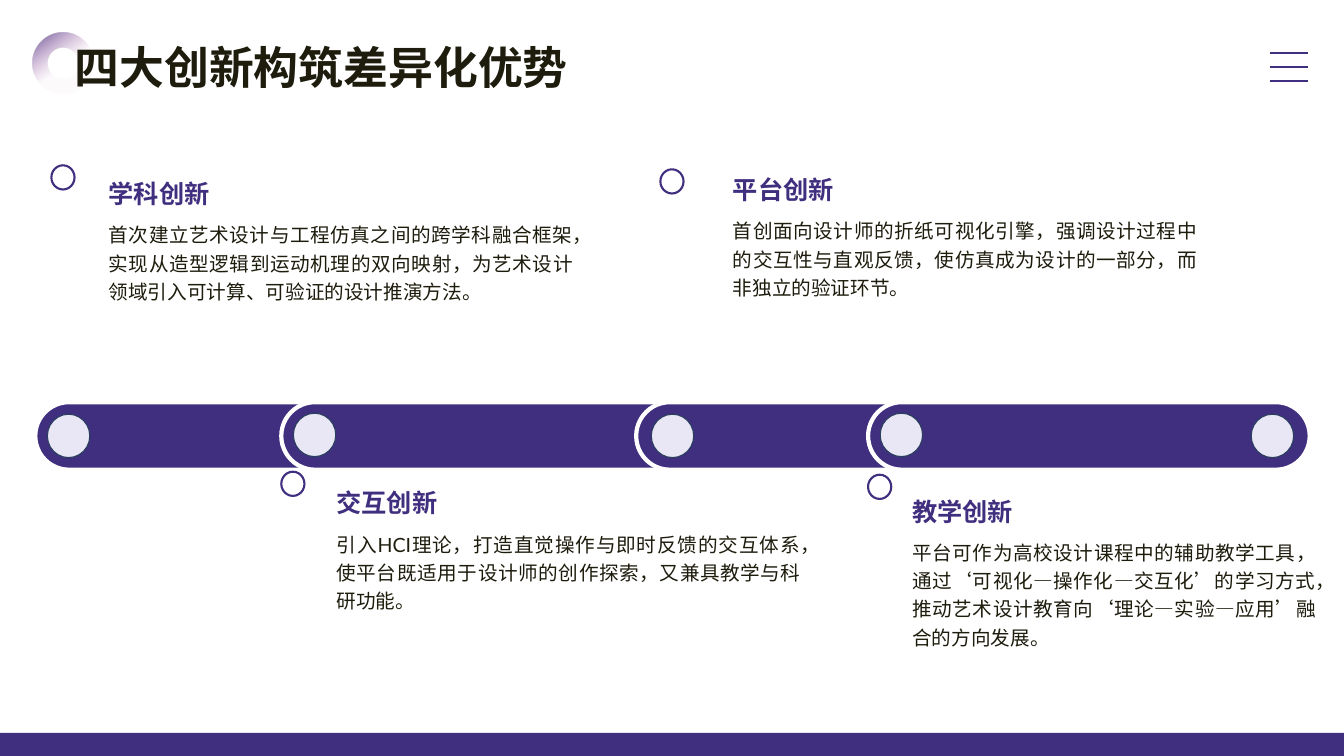
from dataclasses import dataclass

import pptx
import pptx.dml.color
import pptx.enum.dml
import pptx.enum.lang
import pptx.enum.shapes
import pptx.enum.text
import pptx.oxml
import pptx.oxml.ns
import pptx.util

Inches = pptx.util.Inches
Pt = pptx.util.Pt
Kind = pptx.enum.shapes.MSO_SHAPE
Align = pptx.enum.text.PP_ALIGN
Anchor = pptx.enum.text.MSO_ANCHOR

FONT = "Lato"
PURPLE = "402E7F"
DARK = "1E1C0D"
WHITE = "FFFFFF"
PALE = "E9E7F6"
NAVY = "273F5B"


@dataclass
class Topic:
    head: str
    body: str
    left: float
    top: float
    ring: tuple[float, float]
    width: float = 4.8


TOPICS = [
    Topic("学科创新",
          "首次建立艺术设计与工程仿真之间的跨学科融合框架，实现从造型逻辑到运动机理的双向映射，"
          "为艺术设计领域引入可计算、可验证的设计推演方法。",
          0.98, 1.72, (0.51, 1.64)),
    Topic("平台创新",
          "首创面向设计师的折纸可视化引擎，强调设计过程中的交互性与直观反馈，"
          "使仿真成为设计的一部分，而非独立的验证环节。",
          7.17, 1.68, (6.55, 1.68)),
    Topic("交互创新",
          "引入HCI理论，打造直觉操作与即时反馈的交互体系，"
          "使平台既适用于设计师的创作探索，又兼具教学与科研功能。",
          3.24, 4.79, (2.79, 4.68)),
    Topic("教学创新",
          "平台可作为高校设计课程中的辅助教学工具，通过‘可视化—操作化—交互化’的学习方式，"
          "推动艺术设计教育向‘理论—实验—应用’融合的方向发展。",
          8.95, 4.87, (8.61, 4.71), 4.2),
]
BARS = [(0.35, 3.79), (2.79, 4.24), (6.31, 3.79), (8.61, 4.38)]
DOTS = [(0.47, 4.11), (2.91, 4.1), (6.46, 4.11), (8.73, 4.1), (12.41, 4.11)]


def color(code: str) -> pptx.dml.color.RGBColor:
    return pptx.dml.color.RGBColor.from_string(code)


def shape(slide, kind, left: float, top: float, width: float, height: float,
          fill: str = "", line: str = "", weight: float = 1.5):
    item = slide.shapes.add_shape(
        kind, Inches(left), Inches(top), Inches(width), Inches(height))
    item.shadow.inherit = False
    if fill:
        item.fill.solid()
        item.fill.fore_color.rgb = color(fill)
    else:
        item.fill.background()
    if line:
        item.line.color.rgb = color(line)
        item.line.width = Pt(weight)
    else:
        item.line.fill.background()
    return item


def write(frame, text: str, size: float, ink: str = DARK, bold: bool = False,
          align=Align.JUSTIFY, space: float = 1.0, anchor=Anchor.TOP) -> None:
    frame.word_wrap = True
    frame.auto_size = pptx.enum.text.MSO_AUTO_SIZE.NONE
    frame.vertical_anchor = anchor
    para = frame.paragraphs[0]
    para.alignment = align
    para.line_spacing = space
    run = para.add_run()
    run.text = text
    font = run.font
    font.name = FONT
    font.size = Pt(size)
    font.bold = bold
    font.color.rgb = color(ink)
    font.language_id = pptx.enum.lang.MSO_LANGUAGE_ID.SIMPLIFIED_CHINESE


def box(slide, left: float, top: float, width: float, height: float):
    return slide.shapes.add_textbox(
        Inches(left), Inches(top), Inches(width), Inches(height)).text_frame


def rule(slide, left: float, top: float, width: float) -> None:
    line = slide.shapes.add_connector(
        pptx.enum.shapes.MSO_CONNECTOR.STRAIGHT,
        Inches(left), Inches(top), Inches(left + width), Inches(top))
    line.line.color.rgb = color(PURPLE)
    line.line.width = Pt(1.5)
    props = line._element.spPr
    props.append(props.makeelement(pptx.oxml.ns.qn("a:effectLst"), {}))


def donut(slide) -> None:
    item = shape(slide, Kind.DONUT, 0.32, 0.32, 0.61, 0.61)
    item.rotation = 99
    faint = '<a:srgbClr val="BC7DB7"><a:alpha val="3000"/></a:srgbClr>'
    grad = pptx.oxml.parse_xml(
        f'<a:gradFill {pptx.oxml.ns.nsdecls("a")} rotWithShape="1"><a:gsLst>'
        f'<a:gs pos="0"><a:srgbClr val="{PURPLE}"/></a:gs>'
        f'<a:gs pos="54000">{faint}</a:gs><a:gs pos="100000">{faint}</a:gs>'
        '</a:gsLst><a:lin ang="18900000" scaled="0"/></a:gradFill>')
    props = item._element.spPr
    props.replace(props.find(pptx.oxml.ns.qn("a:noFill")), grad)


def title(slide, text: str) -> None:
    item = slide.shapes.title
    item.left, item.top = Inches(0.64), Inches(0.34)
    item.width, item.height = Inches(9.5), Inches(0.64)
    write(item.text_frame, text, 32, bold=True, align=Align.LEFT,
          anchor=Anchor.MIDDLE)
    tree = slide.shapes._spTree
    tree.remove(item._element)
    tree.append(item._element)


def main() -> None:
    deck = pptx.Presentation()
    deck.slide_width, deck.slide_height = Inches(13.33), Inches(7.5)
    slide = deck.slides.add_slide(deck.slide_layouts[5])

    donut(slide)
    for step in range(3):
        rule(slide, 12.6, 0.53 + 0.135 * step, 0.37)
    for left, width in BARS:
        bar = shape(slide, Kind.ROUNDED_RECTANGLE, left, 3.99, width, 0.67,
                    PURPLE, WHITE, 3)
        bar.adjustments[0] = 0.5
    for left, top in DOTS:
        shape(slide, Kind.OVAL, left, top, 0.42, 0.43, PALE, NAVY, 0.75)

    title(slide, "四大创新构筑差异化优势")
    shape(slide, Kind.RECTANGLE, 0, 7.27, 13.35, 0.28, PURPLE)
    for topic in TOPICS:
        shape(slide, Kind.OVAL, *topic.ring, 0.23, 0.24, line=PURPLE)
        write(box(slide, topic.left, topic.top, 4.8, 0.47), topic.head, 18,
              ink=PURPLE, bold=True)
        write(box(slide, topic.left, topic.top + 0.4, topic.width, 1.78),
              topic.body, 14, space=1.2)

    deck.save("out.pptx")


if __name__ == "__main__":
    main()
